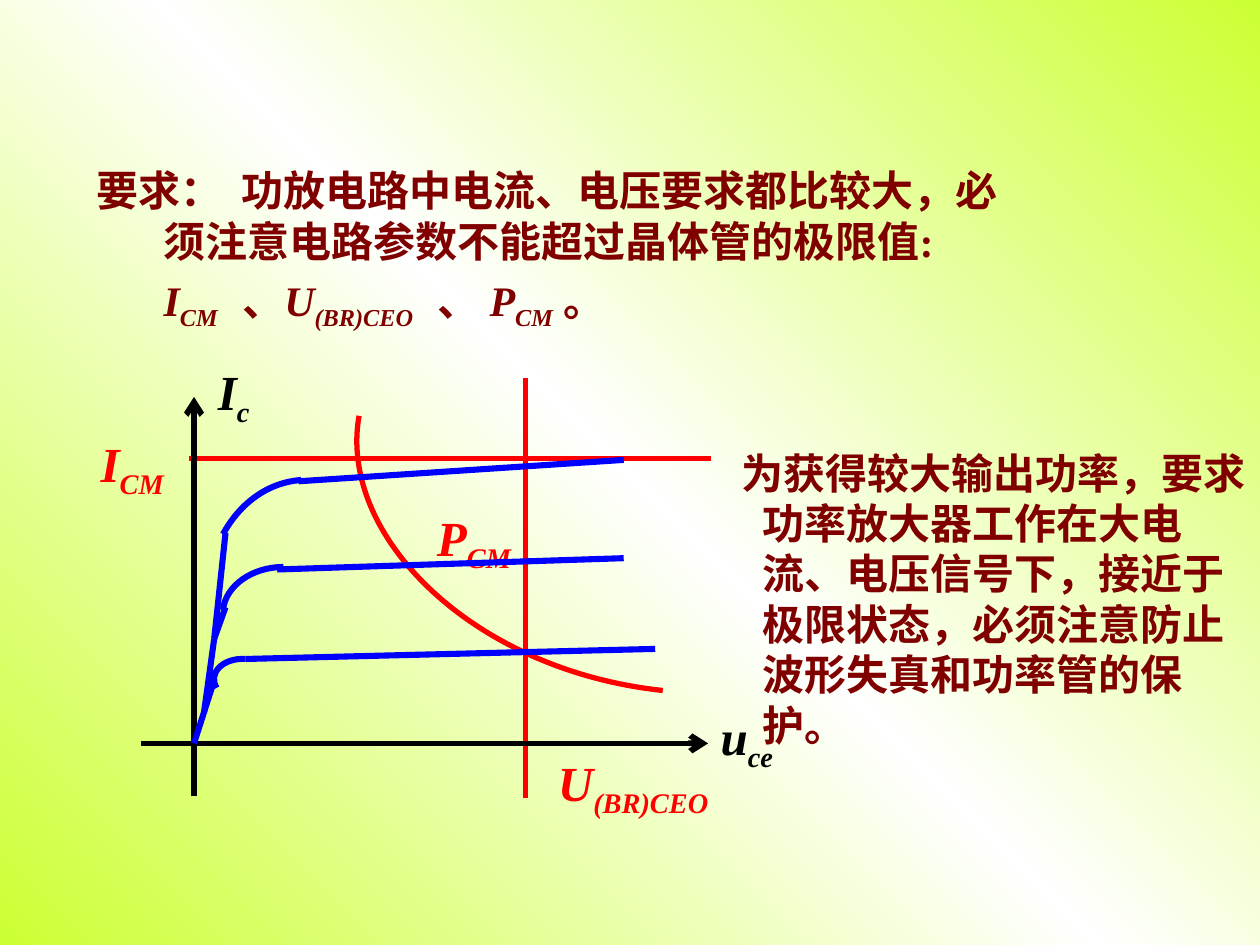
from copy import deepcopy

from pptx import Presentation
from pptx.dml.color import RGBColor
from pptx.enum import shapes, text
from pptx.oxml import ns
from pptx.oxml.xmlchemy import OxmlElement
from pptx.util import Inches, Pt

COLORS = {"lime": "CCFF33", "white": "FFFFFF", "maroon": "800000",
          "limit": "FF0000", "curve": "0000FF", "axis": "000000"}
FONT = "Times New Roman"
REQUIREMENT = [("要求：", "plain"), (" ", "word gap"),
               ("功放电路中电流、电压要求都比较大，必须注意电路参数不能超过晶体管的极限值:", "plain")]
ADVICE = "为获得较大输出功率，要求功率放大器工作在大电流、电压信号下，接近于极限状态，必须注意防止波形失真和功率管的保护。"
LIMITS = [("I", "symbol"), ("CM", "sub"), (" ", "limit gap"), ("、", "plain"),
          ("U", "symbol"), ("(BR)CEO", "sub"), (" ", "limit gap"), ("、 ", "plain"),
          ("P", "symbol"), ("CM", "sub"), (" ", "plain"), ("。", "plain")]
RUN_SETTINGS = {"sub": ("baseline", "-25000"),
                "word gap": ("spc", "500"),
                "limit gap": ("spc", "800")}


def rgb(name):
    return RGBColor.from_string(COLORS[name])


def paint_background(slide):
    fill = slide.background.fill
    fill.gradient()
    fill.gradient_angle = 225
    stop_list = next(slide._element.iter(ns.qn("a:gsLst")))
    stop_list.append(deepcopy(stop_list[0]))
    for stop, position, color in zip(fill.gradient_stops, (0, 0.5, 1), ("lime", "white", "lime")):
        stop.position = position
        stop.color.rgb = rgb(color)


def add_box(slide, left, top, width, height, wrap=True):
    box = slide.shapes.add_textbox(Inches(left), Inches(top), Inches(width), Inches(height))
    box.text_frame.word_wrap = wrap
    box.text_frame.auto_size = text.MSO_AUTO_SIZE.SHAPE_TO_FIT_TEXT
    return box.text_frame


def write(paragraph, parts, size, color):
    for words, style in parts:
        run = paragraph.add_run()
        run.text = words
        run.font.name = FONT
        run.font.size = Pt(size)
        run.font.bold = True
        run.font.italic = style in ("symbol", "sub")
        run.font.color.rgb = rgb(color)
        if style in RUN_SETTINGS:
            run._r.get_or_add_rPr().set(*RUN_SETTINGS[style])


def indent(paragraph, left, first):
    properties = paragraph._p.get_or_add_pPr()
    properties.set("marL", str(Inches(left)))
    properties.set("indent", str(Inches(first)))
    properties.set("hangingPunct", "0")


def add_symbol(slide, left, top, width, symbol, subscript, color):
    frame = add_box(slide, left, top, width, 0.63, wrap=False)
    write(frame.paragraphs[0], [(symbol, "symbol"), (subscript, "sub")], 28, color)


def add_line(slide, start, end, color, width, arrow=False):
    line = slide.shapes.add_connector(
        shapes.MSO_CONNECTOR.STRAIGHT, *(Inches(value) for value in (*start, *end)))
    line.line.color.rgb = rgb(color)
    line.line.width = Pt(width)
    if arrow:
        head = OxmlElement("a:tailEnd")
        head.set("type", "arrow")
        line.line._get_or_add_ln().append(head)
    line._element.spPr.append(OxmlElement("a:effectLst"))


def add_curve(slide, controls, color, width):
    start, *others = [(Inches(x), Inches(y)) for x, y in controls]
    builder = slide.shapes.build_freeform(*start)
    builder.add_line_segments(others, close=False)
    curve = builder.convert_to_shape()
    outline = next(curve._element.iter(ns.qn("a:path")))
    bend = OxmlElement("a:cubicBezTo")
    for segment in outline.findall(ns.qn("a:lnTo")):
        bend.append(segment[0])
        outline.remove(segment)
    outline.append(bend)
    curve.shadow.inherit = False
    curve.fill.background()
    curve.line.color.rgb = rgb(color)
    curve.line.width = Pt(width)


def add_requirement(slide):
    frame = add_box(slide, 0.67, 1.26, 7.61, 1.47)
    opening = frame.paragraphs[0]
    indent(opening, 0.53, -0.53)
    write(opening, REQUIREMENT, 24, "maroon")
    limits = frame.add_paragraph()
    indent(limits, 0.53, 0)
    limits.space_before = Pt(5)
    write(limits, LIMITS, 24, "maroon")


def add_advice(slide):
    paragraph = add_box(slide, 5.42, 3.5, 4.58, 2.1).paragraphs[0]
    indent(paragraph, 0.53, -0.16)
    write(paragraph, [(ADVICE, "plain")], 24, "maroon")


def add_limits(slide):
    add_line(slide, (1.5, 3.64), (5.64, 3.64), "limit", 3)
    add_line(slide, (4.17, 3), (4.17, 6.33), "limit", 3)
    add_curve(slide, [(2.85, 3.3), (2.68, 4.25), (3.75, 5.32), (5.26, 5.48)], "limit", 3)
    add_symbol(slide, 0.7, 3.39, 0.79, "I", "CM", "limit")
    add_symbol(slide, 3.37, 3.98, 0.8, "P", "CM", "limit")
    add_symbol(slide, 4.33, 5.92, 1.39, "U", "(BR)CEO", "limit")


def add_axes(slide):
    add_line(slide, (1.54, 6.32), (1.54, 3.15), "axis", 3.25, arrow=True)
    add_line(slide, (1.12, 5.9), (5.62, 5.9), "axis", 3.25, arrow=True)
    add_symbol(slide, 1.63, 2.82, 0.45, "I", "c", "axis")
    add_symbol(slide, 5.62, 5.56, 0.62, "u", "ce", "axis")


def add_characteristics(slide):
    knees = [
        [(1.72, 5.46), (1.65, 5.35), (1.76, 5.22), (1.95, 5.23)],
        [(1.77, 4.84), (1.79, 4.65), (2, 4.5), (2.25, 4.5)],
        [(1.77, 4.24), (1.9, 4), (2.12, 3.83), (2.39, 3.81)],
    ]
    segments = [
        ((1.95, 5.23), (5.2, 5.15)),
        ((2.2, 4.52), (4.95, 4.43)),
        ((2.37, 3.82), (4.95, 3.65)),
        ((1.54, 5.9), (1.7, 5.4)),
        ((1.62, 5.65), (1.7, 5.07)),
        ((1.7, 5.07), (1.79, 4.23)),
        ((1.7, 5.07), (1.79, 4.82)),
    ]
    for knee in knees:
        add_curve(slide, knee, "curve", 3.5)
    for start, end in segments:
        add_line(slide, start, end, "curve", 3.5)


def main():
    deck = Presentation()
    deck.slide_width, deck.slide_height = Inches(10), Inches(7.5)
    slide = deck.slides.add_slide(deck.slide_layouts[6])
    paint_background(slide)
    add_requirement(slide)
    add_limits(slide)
    add_axes(slide)
    add_characteristics(slide)
    add_advice(slide)
    deck.save("out.pptx")


if __name__ == "__main__":
    main()
